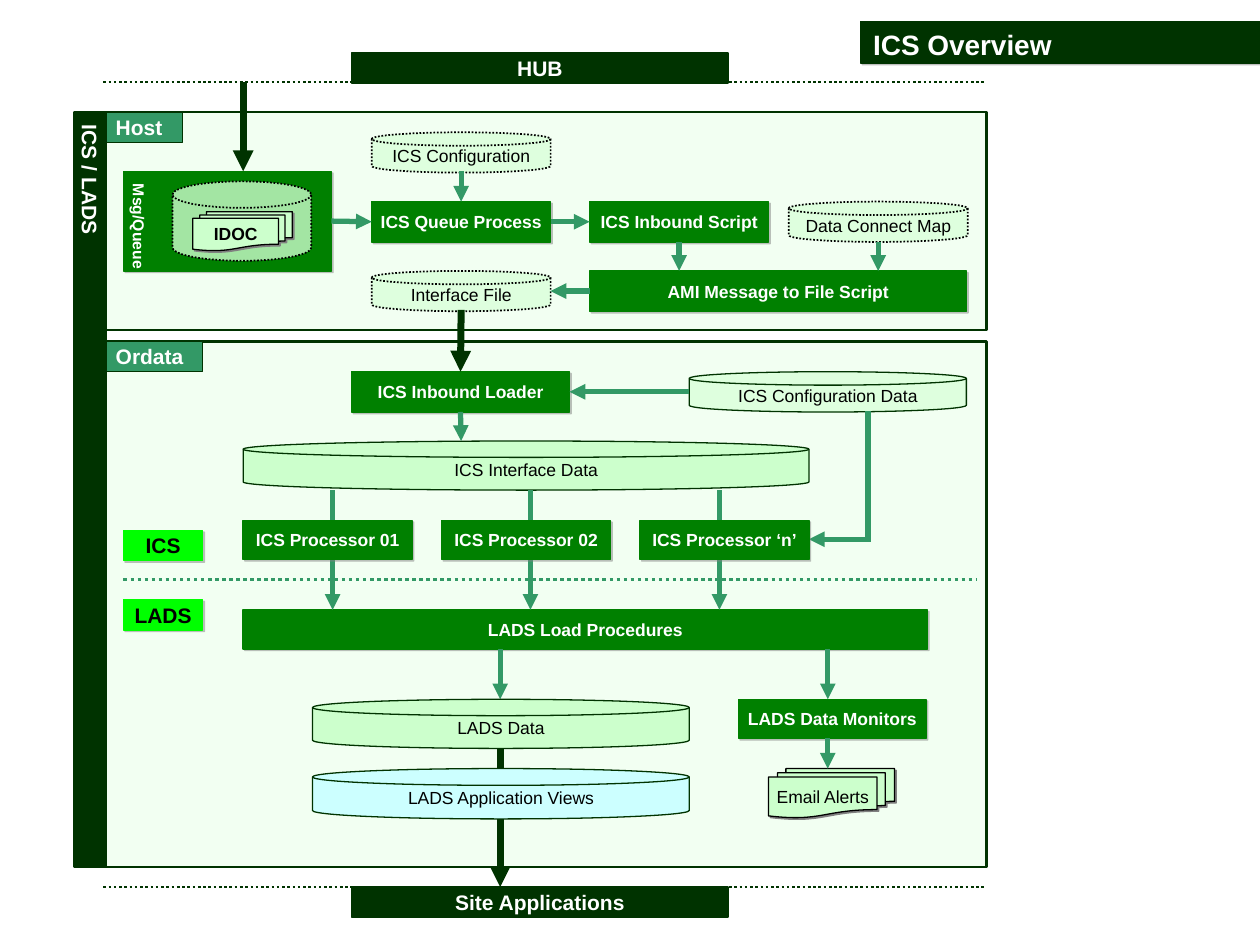
from lxml.etree import SubElement
from pptx import Presentation
from pptx.dml.color import RGBColor
from pptx.enum.dml import MSO_LINE
from pptx.enum.shapes import MSO_CONNECTOR, MSO_SHAPE
from pptx.enum.text import MSO_ANCHOR, MSO_AUTO_SIZE, PP_ALIGN
from pptx.oxml.ns import qn
from pptx.util import Inches, Pt

WHITE = RGBColor(0xFF, 0xFF, 0xFF)
BLACK = RGBColor(0x00, 0x00, 0x00)
DARK = RGBColor(0x00, 0x33, 0x00)
GREEN = RGBColor(0x00, 0x80, 0x00)
TEAL = RGBColor(0x33, 0x99, 0x66)
LIME = RGBColor(0x00, 0xFF, 0x00)
PALE = RGBColor(0xCC, 0xFF, 0xCC)
AQUA = RGBColor(0xCC, 0xFF, 0xFF)

RECTANGLE = MSO_SHAPE.RECTANGLE
PROCESS = MSO_SHAPE.FLOWCHART_PROCESS
DISK = MSO_SHAPE.FLOWCHART_MAGNETIC_DISK
DOCUMENTS = MSO_SHAPE.FLOWCHART_MULTIDOCUMENT

# Look of each kind of part; shadow and alpha are opacity in percent
STYLES = {
    "panel": dict(kind=PROCESS, fill=PALE, alpha=25, line=DARK, weight=1.5),
    "zone": dict(kind=RECTANGLE, fill=TEAL, line=DARK, size=12, bold=True,
                 color=WHITE, align=PP_ALIGN.LEFT),
    "sidebar": dict(kind=RECTANGLE, fill=DARK, line=DARK, weight=1.5, size=12,
                    bold=True, color=WHITE, vertical=True),
    "end": dict(kind=PROCESS, fill=DARK, line=DARK, weight=1, size=12, bold=True, color=WHITE),
    "label": dict(kind=RECTANGLE, fill=LIME, line=LIME, shadow=50, size=12, bold=True),
    "step": dict(kind=PROCESS, fill=GREEN, line=GREEN, shadow=50, bold=True, color=WHITE),
    "queue": dict(kind=PROCESS, fill=GREEN, line=GREEN, shadow=50, size=9, bold=True,
                  color=WHITE, vertical=True, anchor=MSO_ANCHOR.BOTTOM),
    "store": dict(kind=DISK, fill=PALE, alpha=80, line=BLACK, weight=1, dotted=True),
    "file": dict(kind=DISK, fill=PALE, alpha=50, line=BLACK, weight=1, dotted=True),
    "config": dict(kind=DISK, fill=PALE, alpha=50, line=DARK),
    "data": dict(kind=DISK, fill=PALE, line=DARK),
    "view": dict(kind=DISK, fill=AQUA, line=DARK),
    "message": dict(kind=DOCUMENTS, fill=PALE, line=BLACK, shadow=100, bold=True),
    "alert": dict(kind=DOCUMENTS, fill=PALE, line=BLACK, shadow=100),
}

# Parts below the arrows: style, text, left, top, width, height
LOWER_PARTS = [
    ("panel", "", 0.82, 2.71, 7.01, 4.17),
    ("panel", "", 0.82, 0.89, 7.01, 1.73),
    ("zone", "Host", 0.82, 0.89, 0.63, 0.24),
    ("zone", "Ordata", 0.82, 2.71, 0.79, 0.24),
    ("sidebar", "ICS / LADS", 0.59, 0.89, 0.25, 5.99),
    ("end", "HUB", 2.79, 0.42, 2.99, 0.24),
    ("end", "Site Applications", 2.79, 7.04, 2.99, 0.24),
    ("queue", "Msg/Queue", 0.98, 1.36, 1.65, 0.79),
    ("store", "", 1.37, 1.44, 1.1, 0.63),
    ("message", "IDOC", 1.53, 1.68, 0.79, 0.31),
    ("file", "ICS Configuration", 2.95, 1.05, 1.42, 0.32),
    ("file", "Interface File", 2.95, 2.15, 1.42, 0.32),
    ("file", "Data Connect Map", 6.26, 1.6, 1.42, 0.32),
    ("step", "ICS Queue Process", 2.95, 1.6, 1.42, 0.32),
    ("step", "ICS Inbound Script", 4.68, 1.6, 1.42, 0.32),
    ("step", "AMI Message to File Script", 4.68, 2.15, 2.99, 0.32),
    ("step", "ICS Inbound Loader", 2.79, 2.95, 1.73, 0.32),
    ("config", "ICS Configuration Data", 5.47, 2.95, 2.2, 0.32),
    ("data", "ICS Interface Data", 1.93, 3.5, 4.49, 0.39),
    ("label", "ICS", 0.98, 4.21, 0.63, 0.24),
    ("label", "LADS", 0.98, 4.76, 0.63, 0.24),
    ("step", "LADS Load Procedures", 1.93, 4.84, 5.43, 0.31),
    ("step", "LADS Data Monitors", 5.86, 5.55, 1.49, 0.31),
    ("alert", "Email Alerts", 6.1, 6.1, 1, 0.39),
]

# Parts that cover the arrows running behind them
PROCESSORS = ["ICS Processor 01", "ICS Processor 02", "ICS Processor ‘n’"]
UPPER_PARTS = [("step", name, 1.93 + 1.575 * index, 4.13, 1.34, 0.31)
               for index, name in enumerate(PROCESSORS)] + [
    ("view", "LADS Application Views", 2.48, 6.1, 2.99, 0.4),
    ("data", "LADS Data", 2.48, 5.55, 2.99, 0.39),
]

# Lines: colour, weight, dotted, arrow, then the runs (x1, y1, x2, y2)
LINES = [
    (DARK, 1.5, True, False, [(0.82, y, 7.83, y) for y in (0.65, 7.04)]),
    (TEAL, 2, True, False, [(0.98, 4.6, 7.75, 4.6)]),
    (TEAL, 3, False, False, [(6.89, 3.26, 6.89, 4.3)]),
    (TEAL, 3, False, True, [
        (2.63, 1.76, 2.95, 1.76), (4.37, 1.76, 4.68, 1.76), (4.68, 2.31, 4.37, 2.31),
        (3.66, 1.36, 3.66, 1.6), (5.39, 1.92, 5.39, 2.15), (6.97, 1.92, 6.97, 2.15),
        (5.47, 3.11, 4.52, 3.11), (3.66, 3.27, 3.66, 3.5), (6.89, 4.28, 6.42, 4.28),
        (3.97, 5.15, 3.97, 5.55), (6.57, 5.15, 6.57, 5.55), (6.57, 5.86, 6.57, 6.1),
    ] + [(x, 3.89, x, 4.84) for x in (2.64, 4.21, 5.71)]),
    (DARK, 4, False, True, [(1.93, 0.65, 1.93, 1.36), (3.66, 2.46, 3.66, 2.95),
                            (3.97, 5.94, 3.97, 7.04)]),
]


def set_opacity(color_parent, percent):
    SubElement(color_parent, qn("a:alpha")).set("val", str(percent * 1000))


def add_shadow(shape, percent):
    shape.shadow.inherit = False
    if percent:
        effects = shape._element.spPr.find(qn("a:effectLst"))
        shadow = SubElement(effects, qn("a:outerShdw"), dist=str(Pt(1.4)), dir="2700000",
                            algn="ctr", rotWithShape="0")
        set_opacity(SubElement(shadow, qn("a:srgbClr"), val="808080"), percent)


def write_text(shape, text, size, bold, color, align, anchor):
    frame = shape.text_frame
    frame.word_wrap = False
    frame.auto_size = MSO_AUTO_SIZE.NONE
    frame.vertical_anchor = anchor
    frame.margin_left = frame.margin_right = Inches(0.1)
    frame.margin_top = frame.margin_bottom = Inches(0.05)
    paragraph = frame.paragraphs[0]
    paragraph.alignment = align
    run = paragraph.add_run()
    run.text = text
    run.font.name, run.font.size, run.font.bold = "Arial", Pt(size), bold
    run.font.color.rgb = color


def paint(shape, fill, line, weight=0.75):
    shape.fill.solid()
    shape.fill.fore_color.rgb = fill
    shape.line.color.rgb = line
    shape.line.width = Pt(weight)


def add_part(slide, style_name, text, *box):
    style = STYLES[style_name]
    shape = slide.shapes.add_shape(style["kind"], *map(Inches, box))
    paint(shape, style["fill"], style["line"], style.get("weight", 0.75))
    if "alpha" in style:
        set_opacity(shape._element.spPr.find(qn("a:solidFill"))[0], style["alpha"])
    if style.get("dotted"):
        shape.line.dash_style = MSO_LINE.ROUND_DOT
    add_shadow(shape, style.get("shadow", 0))
    if text:
        write_text(shape, text, style.get("size", 10), style.get("bold", False),
                   style.get("color", BLACK), style.get("align", PP_ALIGN.CENTER),
                   style.get("anchor", MSO_ANCHOR.MIDDLE))
    if style.get("vertical"):
        frame = shape.text_frame
        frame._txBody.bodyPr.set("vert", "eaVert")
        frame.margin_left = frame.margin_right = Inches(0.05)
        frame.margin_top = frame.margin_bottom = Inches(0.1)
    return shape


def join(connect, boxes, x, y):
    """Attach a line end that meets the middle of a box side."""
    for box in boxes:
        middle_x, middle_y = box.left + box.width / 2, box.top + box.height / 2
        sides = [(middle_x, box.top), (box.left, middle_y),
                 (middle_x, box.top + box.height), (box.left + box.width, middle_y)]
        for site, (side_x, side_y) in enumerate(sides):
            if max(abs(side_x - Inches(x)), abs(side_y - Inches(y))) < Inches(0.01):
                connect(box, site)
                return


def add_line(slide, boxes, color, weight, dotted, arrow, ends):
    line = slide.shapes.add_connector(MSO_CONNECTOR.STRAIGHT, *map(Inches, ends))
    line.line.color.rgb = color
    line.line.width = Pt(weight)
    if dotted:
        line.line.dash_style = MSO_LINE.ROUND_DOT
    if arrow:
        SubElement(line.line._get_or_add_ln(), qn("a:tailEnd"), type="triangle")
        join(line.begin_connect, boxes, *ends[:2])
        join(line.end_connect, boxes, *ends[2:])
    SubElement(line._element.spPr, qn("a:effectLst"))


def main():
    presentation = Presentation()
    presentation.slide_width, presentation.slide_height = Inches(10), Inches(7.5)
    slide = presentation.slides.add_slide(presentation.slide_layouts[5])

    # Title
    title = slide.shapes.title
    title.left, title.top, title.width, title.height = map(Inches, (6.83, 0.17, 3.17, 0.33))
    paint(title, DARK, DARK)
    add_shadow(title, 50)
    write_text(title, "ICS Overview", 16, True, WHITE, PP_ALIGN.LEFT, MSO_ANCHOR.TOP)

    # Diagram, from back to front
    parts = [(part[0], add_part(slide, *part)) for part in LOWER_PARTS]
    boxes = [shape for style, shape in parts if style in ("step", "queue")]
    for *look, runs in LINES:
        for ends in runs:
            add_line(slide, boxes, *look, ends)
    for part in UPPER_PARTS:
        add_part(slide, *part)

    presentation.save("out.pptx")


if __name__ == "__main__":
    main()
